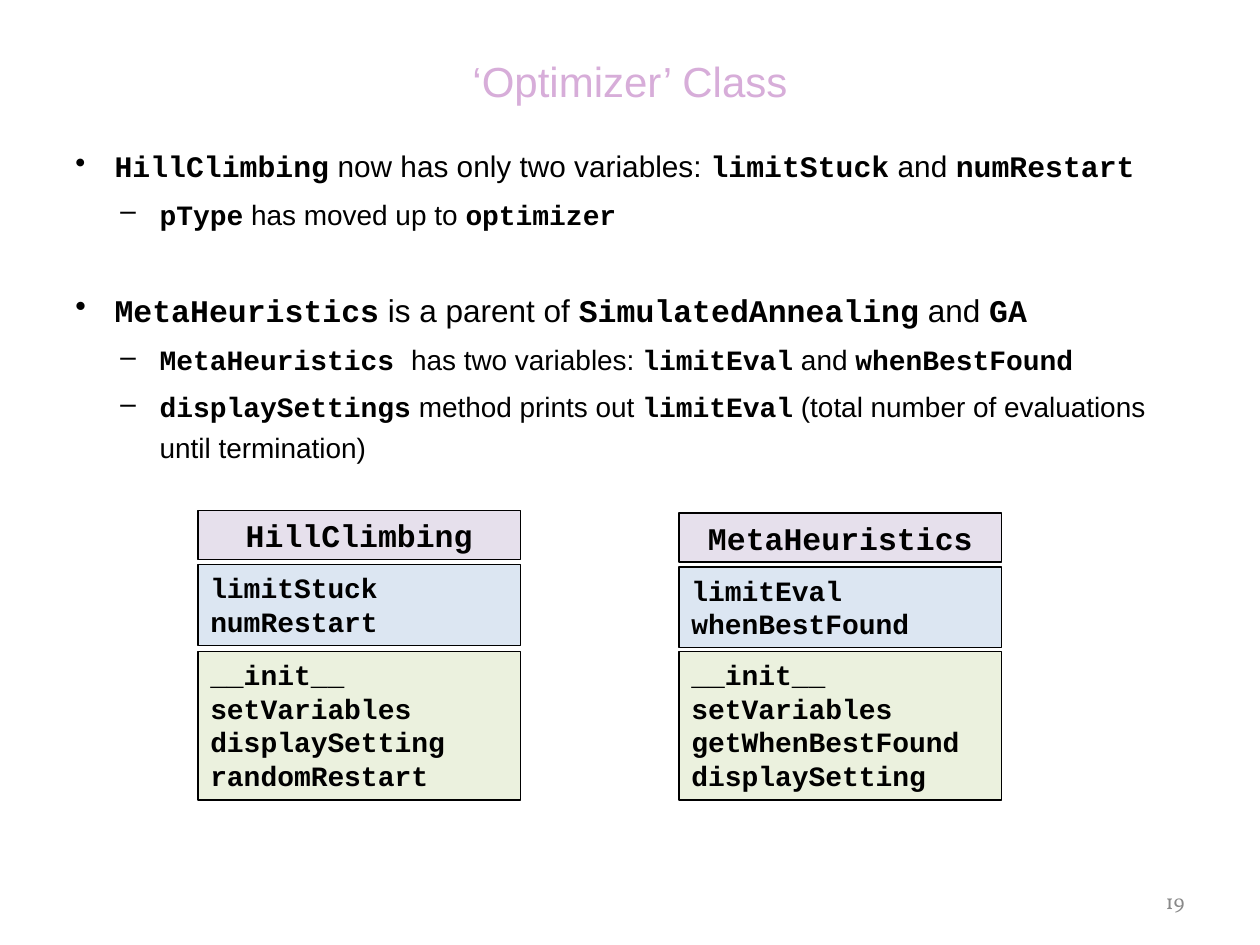
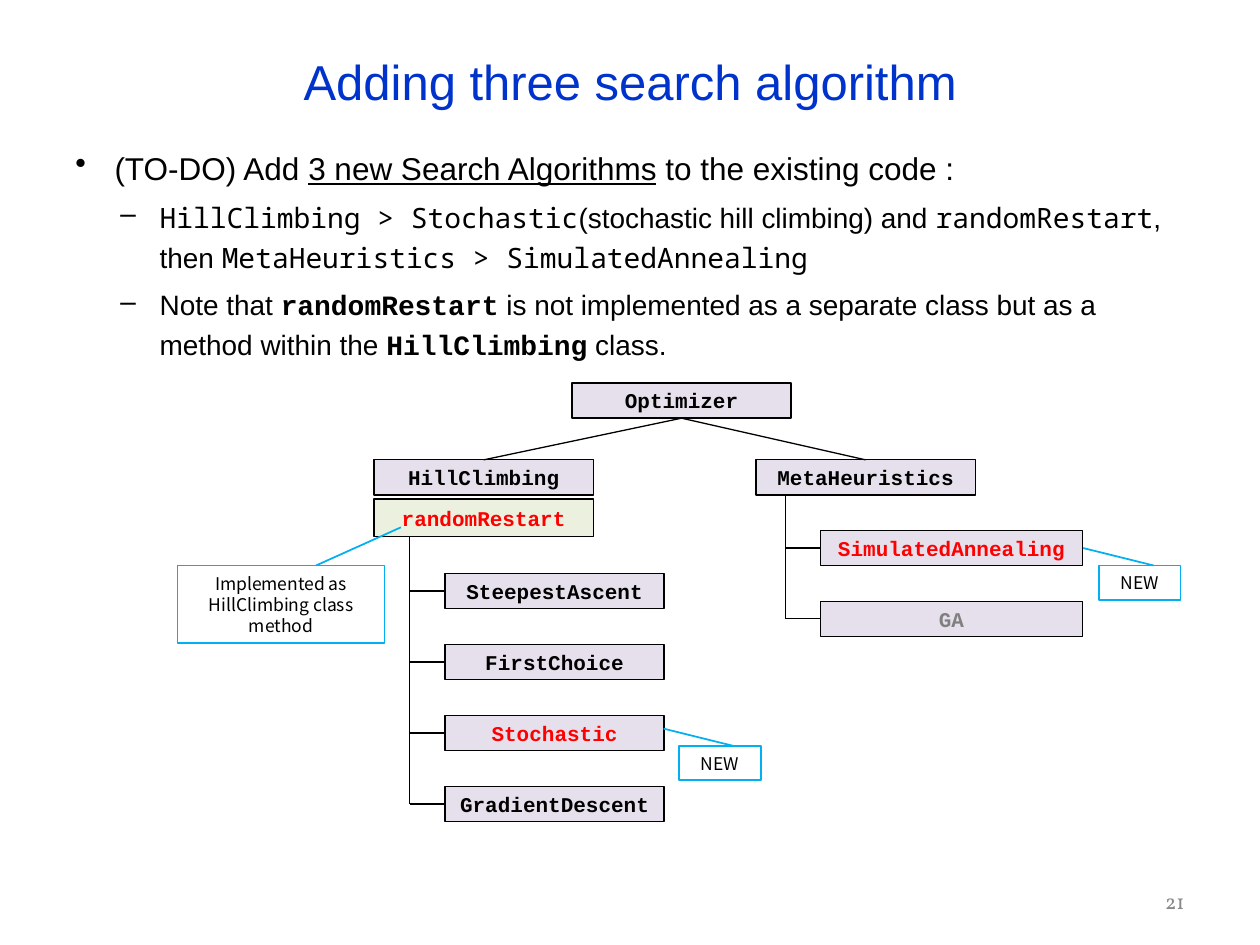
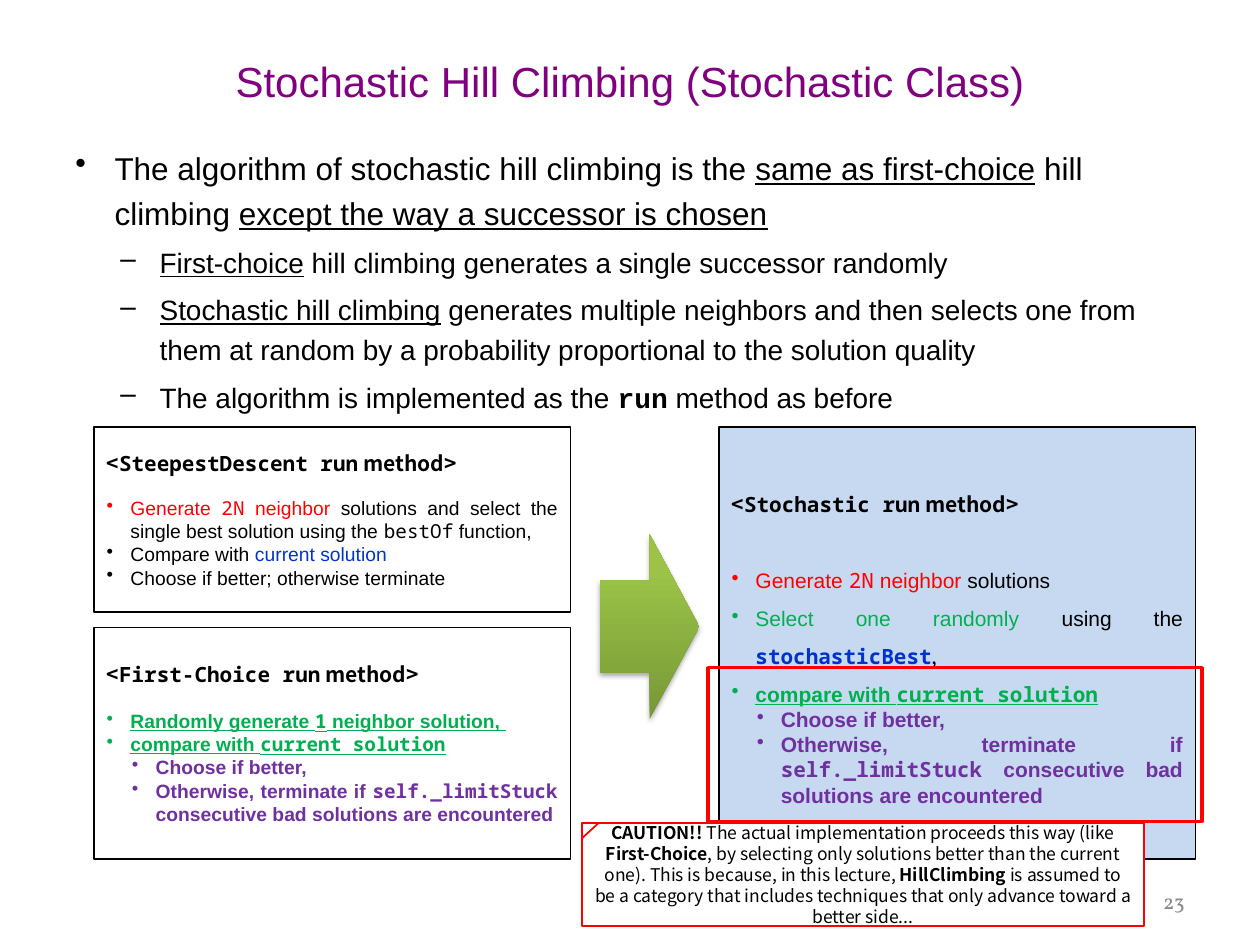
from lxml import etree
from pptx import Presentation
from pptx.dml.color import RGBColor
from pptx.enum.shapes import MSO_CONNECTOR, MSO_SHAPE
from pptx.enum.text import MSO_ANCHOR, PP_ALIGN
from pptx.oxml import parse_xml
from pptx.oxml.ns import nsdecls, qn
from pptx.util import Cm, Pt

LEFT, CENTER, RIGHT, JUSTIFY = PP_ALIGN.LEFT, PP_ALIGN.CENTER, PP_ALIGN.RIGHT, PP_ALIGN.JUSTIFY
TOP, MIDDLE = MSO_ANCHOR.TOP, MSO_ANCHOR.MIDDLE
RECTANGLE, CALLOUT, ARROW = MSO_SHAPE.RECTANGLE, MSO_SHAPE.LINE_CALLOUT_1, MSO_SHAPE.RIGHT_ARROW
STRAIGHT = MSO_CONNECTOR.STRAIGHT

BLACK, WHITE, RED, GRAY = "000000", "FFFFFF", "FF0000", "808080"
BLUE, GREEN, PURPLE, SKY = "0033CC", "00B050", "7030A0", "00B0F0"
LILAC, PALE_GREEN, PALE_BLUE, SOFT_BLUE = "E6E0EC", "EBF1DE", "DCE6F2", "C6D9F1"
ARIAL, COURIER, SANS, MONO = "Arial", "Courier New", "Noto Sans CJK KR", "Noto Sans Mono"

CODE = dict(name=COURIER, bold=True)
PLAIN_CODE = dict(name=MONO)
UNDERLINED = dict(underline=True)
BOLD = dict(bold=True)

POINT = dict(bullet="•", margin=0.79, hang=0.79, spacing=1.2, before=4, size=18)
SUBPOINT = dict(bullet="–", margin=1.7, hang=0.79, spacing=1.2, before=4, size=16, level=1)
STEP = dict(bullet="•", margin=0.48, hang=0.48, align=JUSTIFY, size=11)
SUBSTEP = dict(STEP, margin=0.99, level=1, bold=True, color=PURPLE)
METHOD = dict(name=SANS, size=12, bold=True)
CLASS_NAME = dict(name=COURIER, bold=True, align=CENTER)
MEMBER = dict(name=COURIER, bold=True, size=16)
REMARK = dict(name=SANS, size=10, align=CENTER)


def write(frame, paragraphs, anchor=TOP):
    frame.word_wrap = True
    frame.vertical_anchor = anchor
    for number, (layout, *pieces) in enumerate(paragraphs):
        paragraph = frame.paragraphs[0] if number == 0 else frame.add_paragraph()
        paragraph.alignment = layout.get("align", LEFT)
        paragraph.level = layout.get("level", 0)
        paragraph.line_spacing = layout.get("spacing")
        paragraph.space_before = Pt(layout.get("before", 0))
        if "bullet" in layout:
            properties = paragraph._p.get_or_add_pPr()
            properties.set("marL", str(Cm(layout["margin"])))
            properties.set("indent", str(-Cm(layout["hang"])))
            etree.SubElement(properties, qn("a:buChar")).set("char", layout["bullet"])
        looks = [(paragraph.font, {"name": ARIAL, "color": BLACK, **layout})]
        for piece in pieces:
            text, look = (piece, {}) if isinstance(piece, str) else piece
            run = paragraph.add_run()
            run.text = text
            looks.append((run.font, look))
        for font, look in looks:
            for trait in ("name", "bold", "underline"):
                if trait in look:
                    setattr(font, trait, look[trait])
            if "size" in look:
                font.size = Pt(look["size"])
            if "color" in look:
                font.color.rgb = RGBColor.from_string(look["color"])


def box(slide, place, paragraphs=(), fill=None, line=BLACK, weight=0.75,
        anchor=MIDDLE, kind=RECTANGLE, pointer=()):
    shape = slide.shapes.add_shape(kind, *map(Cm, place))
    shape.shadow.inherit = False
    if fill:
        shape.fill.solid()
        shape.fill.fore_color.rgb = RGBColor.from_string(fill)
    else:
        shape.fill.background()
    if line:
        shape.line.color.rgb = RGBColor.from_string(line)
        shape.line.width = Pt(weight)
    else:
        shape.line.fill.background()
    for position, value in enumerate(pointer):
        shape.adjustments[position] = value
    write(shape.text_frame, paragraphs, anchor)
    return shape


optimizer_points = [
    (dict(POINT, size=17), ("HillClimbing", CODE), " now has only two variables: ",
     ("limitStuck", CODE), " and ", ("numRestart", CODE)),
    (SUBPOINT, ("pType", CODE), " has moved up to ", ("optimizer", CODE)),
    (dict(POINT, before=30), ("MetaHeuristics", CODE), " is a parent of ",
     ("SimulatedAnnealing", CODE), " and ", ("GA", CODE)),
    (SUBPOINT, ("MetaHeuristics ", CODE), "has two variables: ",
     ("limitEval", CODE), " and ", ("whenBestFound", CODE)),
    (SUBPOINT, ("displaySettings", CODE), " method prints out ", ("limitEval", CODE),
     " (total number of evaluations until termination)"),
]
adding_points = [
    (POINT, "(TO-DO) Add ", ("3 new Search Algorithms", UNDERLINED), " to the existing code :"),
    (SUBPOINT, ("HillClimbing > Stochastic", PLAIN_CODE), "(stochastic hill climbing) and ",
     ("randomRestart", PLAIN_CODE), ", then ",
     ("MetaHeuristics > SimulatedAnnealing", PLAIN_CODE)),
    (SUBPOINT, "Note that ", ("randomRestart", CODE),
     " is not implemented as a separate class but as a method within the ",
     ("HillClimbing", CODE), " class."),
]
stochastic_points = [
    (POINT, "The algorithm of stochastic hill climbing is the ",
     ("same as first-choice", UNDERLINED), " hill climbing ",
     ("except the way a successor is chosen", UNDERLINED)),
    (SUBPOINT, ("First-choice", UNDERLINED),
     " hill climbing generates a single successor randomly"),
    (SUBPOINT, ("Stochastic hill climbing", UNDERLINED),
     " generates multiple neighbors and then selects one from them at random"
     " by a probability proportional to the solution quality"),
    (SUBPOINT, "The algorithm is implemented as the ", ("run", CODE), " method as before"),
]

deck = Presentation()
deck.slide_width, deck.slide_height = Cm(25.4), Cm(19.05)
slides = []
for title, size, color, points, page in [
    ("‘Optimizer’ Class", 24, "D7ADD9", optimizer_points, "19"),
    ("Adding three search algorithm", 28, BLUE, adding_points, "21"),
    ("Stochastic Hill Climbing (Stochastic Class)", 24, "800080", stochastic_points, "23"),
]:
    slide = deck.slides.add_slide(deck.slide_layouts[6])
    slides.append(slide)
    heading = [(dict(size=size, color=color, align=CENTER), title)]
    footer = [(dict(name="Vollkorn", size=12, color="898989", align=RIGHT), page)]
    for place, content, anchor in [
        ((1.27, 2.72, 22.86, 14.6), points, TOP),
        ((1.27, 0.76, 22.86, 1.75), heading, MIDDLE),
        ((21.11, 17.65, 3.02, 1.02), footer, MIDDLE),
    ]:
        write(slide.shapes.add_textbox(*map(Cm, place)).text_frame, content, anchor)
optimizer_slide, adding_slide, stochastic_slide = slides

for left, top, name, variables, methods in [
    (3.99, 10.29, "HillClimbing", ["limitStuck", "numRestart"],
     ["__init__", "setVariables", "displaySetting", "randomRestart"]),
    (13.69, 10.34, "MetaHeuristics", ["limitEval", "whenBestFound"],
     ["__init__", "setVariables", "getWhenBestFound", "displaySetting"]),
]:
    box(optimizer_slide, (left, top, 6.5, 0.99), [(dict(CLASS_NAME, size=18), name)], LILAC)
    box(optimizer_slide, (left, 13.13, 6.5, 3), [(MEMBER, m) for m in methods],
        PALE_GREEN, anchor=TOP)
    box(optimizer_slide, (left, top + 1.09, 6.5, 1.63), [(MEMBER, v) for v in variables],
        PALE_BLUE, anchor=TOP)

node_width, node_height, row_step = 4.42, 0.71, 1.43
nodes = {}
for name, left, top, width, color in [
    ("Optimizer", 11.53, 7.72, node_width, BLACK),
    ("HillClimbing", 7.54, 9.27, node_width, BLACK),
    ("MetaHeuristics", 15.24, 9.27, node_width, BLACK),
    ("SteepestAscent", 8.97, 11.56, node_width, BLACK),
    ("FirstChoice", 8.97, 11.56 + row_step, node_width, BLACK),
    ("Stochastic", 8.97, 11.56 + 2 * row_step, node_width, RED),
    ("GradientDescent", 8.97, 11.56 + 3 * row_step, node_width, BLACK),
    ("SimulatedAnnealing", 16.54, 10.69, 5.28, RED),
    ("GA", 16.54, 10.69 + row_step, 5.28, GRAY),
]:
    nodes[name] = box(adding_slide, (left, top, width, node_height),
                      [(dict(CLASS_NAME, size=12, color=color), name)], LILAC)
box(adding_slide, (7.54, 10.06, node_width, 0.76),
    [(dict(CLASS_NAME, size=12, color=RED), "randomRestart")], PALE_GREEN, anchor=TOP)

links = []
for child in ("HillClimbing", "MetaHeuristics"):
    link = adding_slide.shapes.add_connector(STRAIGHT, 0, 0, 0, 0)
    link.begin_connect(nodes["Optimizer"], 2)
    link.end_connect(nodes[child], 0)
    links.append(link)
for trunk_top, children in [
    (10.82, ["SteepestAscent", "FirstChoice", "Stochastic", "GradientDescent"]),
    (9.98, ["SimulatedAnnealing", "GA"]),
]:
    trunk = nodes[children[0]].left - Cm(0.71)
    for child in children:
        middle = nodes[child].top + nodes[child].height // 2
        link = adding_slide.shapes.add_connector(STRAIGHT, trunk, middle, trunk, middle)
        link.end_connect(nodes[child], 1)
        links.append(link)
    links.append(adding_slide.shapes.add_connector(STRAIGHT, trunk, Cm(trunk_top), trunk, middle))
for link in links:
    link.line.color.rgb = RGBColor.from_string(BLACK)
    link.line.width = Pt(0.75)
    etree.SubElement(link._element.spPr, qn("a:effectLst"))

new_pointer = (0, 0.67, -0.51, -0.19)
for place, remark, pointer in [
    ((3.58, 11.4, 4.17, 1.57), "Implemented as HillClimbing class method", (0, 0.67, -0.49, 1.08)),
    ((13.69, 15.04, 1.65, 0.69), "NEW", new_pointer),
    ((22.15, 11.4, 1.65, 0.69), "NEW", new_pointer),
]:
    box(adding_slide, place, [(REMARK, remark)], WHITE, SKY, 1, kind=CALLOUT, pointer=pointer)

stop_rule = [
    (SUBSTEP, "Choose if better,"),
    (SUBSTEP, "Otherwise, terminate if ", ("self._limitStuck", PLAIN_CODE),
     " consecutive bad solutions are encountered"),
]
agreed = dict(STEP, color=GREEN, bold=True, underline=True)
compare = ("compare with ", ("current solution", PLAIN_CODE))
wide = dict(STEP, spacing=1.5, size=12)
red_code = dict(name=MONO, color=RED)
red = dict(color=RED)
steepest = [
    (METHOD, "<", ("SteepestDescent run", PLAIN_CODE), " method>"),
    (dict(STEP, before=12), ("Generate ", red), ("2N", red_code), (" neighbor ", red),
     "solutions and select the single best solution using the ",
     ("bestOf", PLAIN_CODE), " function,"),
    (STEP, "Compare with ", ("current solution", dict(color=BLUE))),
    (STEP, "Choose if better; otherwise terminate"),
]
first_choice = [
    (METHOD, "<", ("First-Choice run", PLAIN_CODE), " method>"),
    (dict(agreed, before=13), "Randomly generate ", ("1", PLAIN_CODE), " neighbor solution, "),
    (agreed, *compare),
    *stop_rule,
]
stochastic = [
    (dict(METHOD, spacing=1.5), "<", ("Stochastic run", PLAIN_CODE), " method>"),
    (dict(wide, before=22), ("Generate ", red), ("2N", red_code), (" neighbor ", red),
     "solutions "),
    (wide, ("Select one randomly ", dict(color=GREEN)), "using the ",
     ("stochasticBest", dict(name=MONO, color=BLUE, bold=True, underline=True)),
     (", ", dict(name=SANS))),
    (dict(agreed, spacing=1.5, size=12), *compare),
    *[(dict(layout, size=12), *pieces) for layout, *pieces in stop_rule],
]
for place, steps, fill in [
    ((1.9, 8.61, 9.6, 3.73), steepest, WHITE),
    ((1.9, 12.65, 9.6, 4.67), first_choice, WHITE),
    ((14.5, 8.61, 9.6, 8.71), stochastic, SOFT_BLUE),
]:
    box(stochastic_slide, place, steps, fill, weight=1)

arrow = box(stochastic_slide, (12.09, 10.77, 2.01, 3.73), line=None, kind=ARROW)
arrow.fill.gradient()
arrow.fill.gradient_angle = 90
for stop, color, position in zip(arrow.fill.gradient_stops, ("779737", "9BC348"), (0, 0.8)):
    stop.color.rgb = RGBColor.from_string(color)
    stop.position = position
arrow._element.spPr.find(qn("a:effectLst")).append(parse_xml(
    f'<a:outerShdw {nsdecls("a")} blurRad="{Pt(3.1)}" dist="{Pt(1.8)}" dir="5400000">'
    f'<a:srgbClr val="{BLACK}"><a:alpha val="35000"/></a:srgbClr></a:outerShdw>'))

box(stochastic_slide, (14.27, 13.46, 9.96, 3.1), line=RED, weight=2)
caution = [(
    REMARK, ("CAUTION!!", BOLD), " The actual implementation proceeds this way (like ",
    ("First-Choice", BOLD),
    ", by selecting only solutions better than the current one). This is because, in this lecture, ",
    ("HillClimbing", BOLD),
    " is assumed to be a category that includes techniques that only advance toward a better side...",
)]
box(stochastic_slide, (11.73, 16.59, 11.33, 2.08), caution, WHITE, RED, 1,
    kind=CALLOUT, pointer=(0, 0.03, 0.15, 0))

deck.save("out.pptx")
